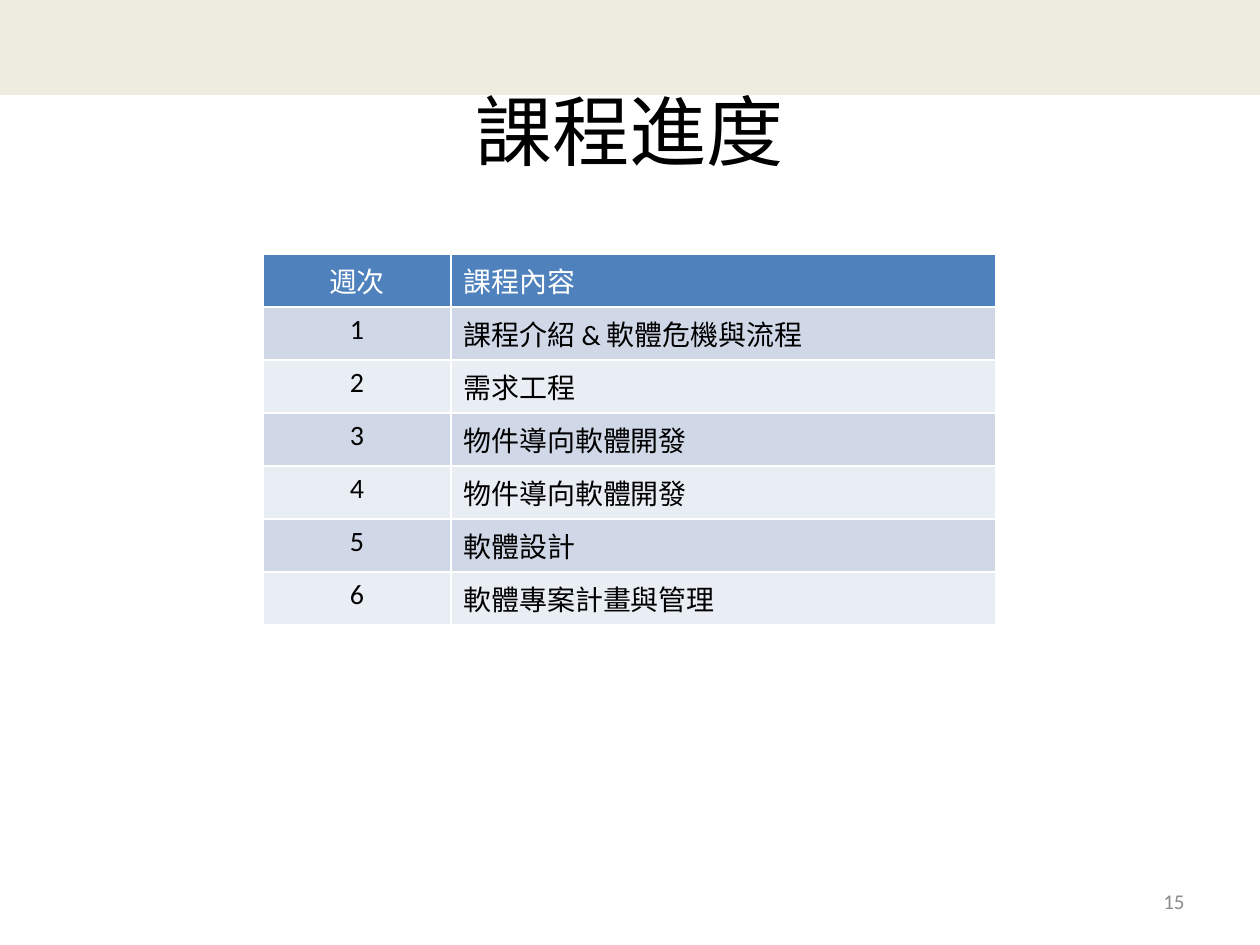
"""Build the course schedule slide."""
from dataclasses import dataclass

from lxml.etree import SubElement
from pptx import Presentation
from pptx.dml.color import RGBColor
from pptx.enum.shapes import MSO_SHAPE
from pptx.enum.text import MSO_ANCHOR, PP_ALIGN
from pptx.oxml.ns import qn
from pptx.util import Emu, Pt

EMU_PER_PX = 914400 // 126


@dataclass(frozen=True)
class Theme:
    """Colours, font and type sizes of the slide."""
    font: str = "Calibri"
    band: str = "EEECE1"
    ink: str = "000000"
    white: str = "FFFFFF"
    header: str = "4F81BD"
    odd_week: str = "D0D8E8"
    even_week: str = "E9EDF4"
    muted: str = "8C8C8C"
    title_size: int = 44
    table_size: int = 16
    number_size: int = 12
    rule: int = 1


THEME = Theme()
TOPICS = [
    "課程介紹 & 軟體危機與流程",
    "需求工程",
    "物件導向軟體開發",
    "物件導向軟體開發",
    "軟體設計",
    "軟體專案計畫與管理",
]


def px(length):
    """Convert pixels to EMU."""
    return Emu(length * EMU_PER_PX)


def write(frame, text, size, color, align):
    """Write one styled paragraph into a text frame."""
    paragraph = frame.paragraphs[0]
    paragraph.text = text
    paragraph.alignment = align
    font = paragraph.font
    font.name, font.size, font.bold = THEME.font, Pt(size), False
    font.color.rgb = RGBColor.from_string(color)


def add_band(slide, left, top, width, height):
    """Add the plain band across the top."""
    band = slide.shapes.add_shape(
        MSO_SHAPE.RECTANGLE, px(left), px(top), px(width), px(height))
    band.shadow.inherit = False
    band.fill.solid()
    band.fill.fore_color.rgb = RGBColor.from_string(THEME.band)
    band.line.fill.background()


def add_label(slide, box, text, size, color, align):
    """Add a vertically centred line of text."""
    label = slide.shapes.add_textbox(*map(px, box))
    frame = label.text_frame
    frame.word_wrap = True
    frame.vertical_anchor = MSO_ANCHOR.MIDDLE
    write(frame, text, size, color, align)


def rule_cell(cell):
    """Draw white rules on all sides of a cell."""
    properties = cell._tc.get_or_add_tcPr()
    for side in ("L", "R", "T", "B"):
        line = SubElement(properties, qn(f"a:ln{side}"), w=str(Pt(THEME.rule)))
        fill = SubElement(line, qn("a:solidFill"))
        SubElement(fill, qn("a:srgbClr"), val=THEME.white)


def add_schedule(slide, left, top, column_widths, row_height):
    """Add the table of weeks and topics."""
    entries = [("週次", "課程內容")]
    entries += [(str(week), topic) for week, topic in enumerate(TOPICS, 1)]
    table = slide.shapes.add_table(
        len(entries), len(column_widths), px(left), px(top),
        px(sum(column_widths)), px(row_height * len(entries))).table
    for column, width in zip(table.columns, column_widths):
        column.width = px(width)
    for week, entry in enumerate(entries):
        is_header = week == 0
        week_fill = THEME.odd_week if week % 2 else THEME.even_week
        fill = THEME.header if is_header else week_fill
        color = THEME.white if is_header else THEME.ink
        for column, text in enumerate(entry):
            cell = table.cell(week, column)
            rule_cell(cell)
            cell.fill.solid()
            cell.fill.fore_color.rgb = RGBColor.from_string(fill)
            align = PP_ALIGN.LEFT if column else PP_ALIGN.CENTER
            write(cell.text_frame, text, THEME.table_size, color, align)


def main():
    """Build and save the slide."""
    deck = Presentation()
    deck.slide_width, deck.slide_height = px(1260), px(945)
    slide = deck.slides.add_slide(deck.slide_layouts[6])
    add_band(slide, 0, 0, 1260, 95)
    add_label(slide, (63, 75, 1134, 110), "課程進度",
              THEME.title_size, THEME.ink, PP_ALIGN.CENTER)
    add_schedule(slide, 263, 254, (188, 545), 53)
    add_label(slide, (903, 876, 294, 50), "15",
              THEME.number_size, THEME.muted, PP_ALIGN.RIGHT)
    deck.save("out.pptx")


if __name__ == "__main__":
    main()
